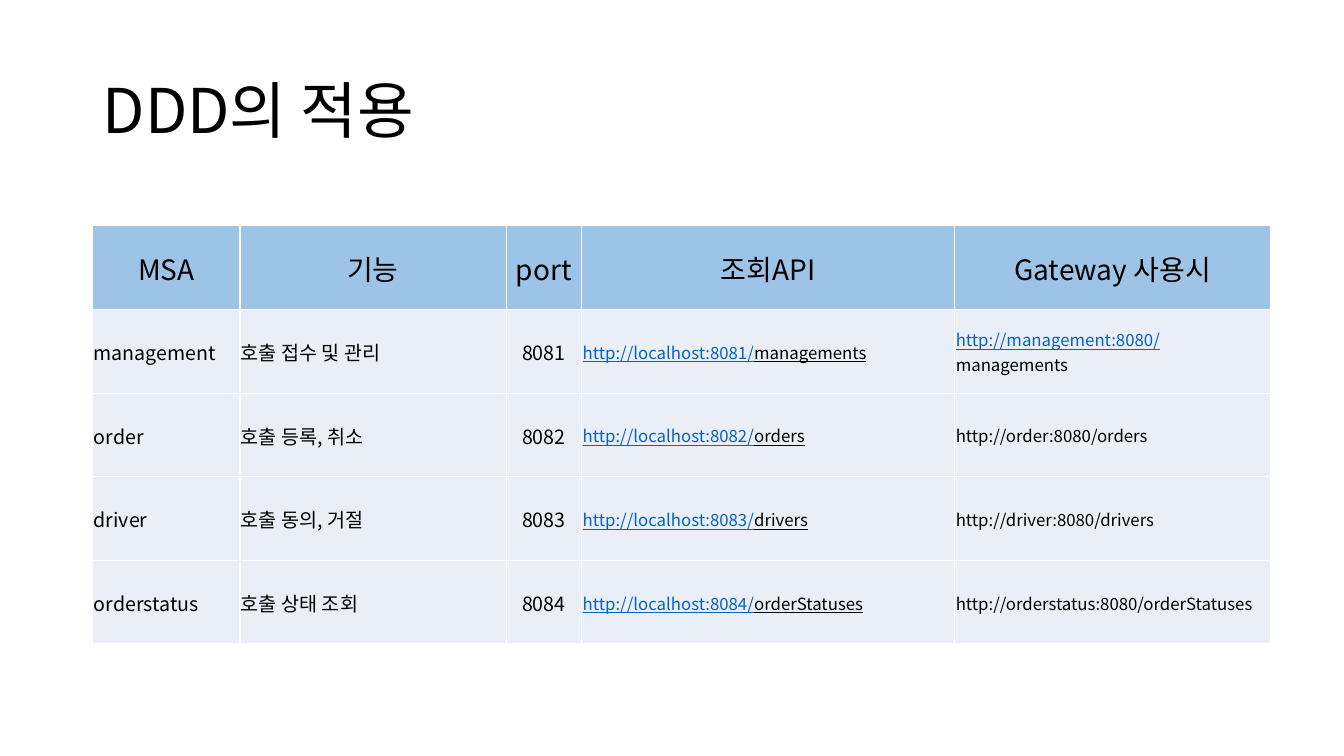
from dataclasses import dataclass

from lxml.etree import SubElement as Sub
from pptx import Presentation
from pptx.dml.color import RGBColor as Rgb
from pptx.enum.text import MSO_ANCHOR as Anchor, PP_ALIGN as Align
from pptx.oxml.ns import qn
from pptx.util import Inches, Pt

FONT = "Noto Sans CJK KR"
COLORS = {"text": "000000", "link": "0563C1", "head": "9DC3E6",
          "body": "EAEFF7", "line": "FFFFFF"}
HEADS = ["MSA", "기능", "port", "조회API", "Gateway 사용시"]
WIDTHS = [1.46, 2.64, 0.75, 3.7, 3.13]
ROW_H = 0.83
PORT_COL = 2


@dataclass
class Span:
    text: str
    size: int
    color: str = "text"
    under: bool = False


@dataclass
class Service:
    name: str
    task: str
    port: int
    path_end: str
    linked: bool = False

    def cells(self) -> list[list[Span]]:
        host = f"http://{self.name}:8080/"
        if self.linked:
            gate = [Span(host, 12, "link", True), Span(self.path_end, 12)]
        else:
            gate = [Span(host + self.path_end, 12)]
        local = [Span(f"http://localhost:{self.port}/", 12, "link", True),
                 Span(self.path_end, 12, under=True)]
        return [[Span(self.name, 14)], [Span(self.task, 14)],
                [Span(str(self.port), 14)], local, gate]


SERVICES = [
    Service("management", "호출 접수 및 관리", 8081, "managements", True),
    Service("order", "호출 등록, 취소", 8082, "orders"),
    Service("driver", "호출 동의, 거절", 8083, "drivers"),
    Service("orderstatus", "호출 상태 조회", 8084, "orderStatuses"),
]


def write(para, spans: list[Span]) -> None:
    for span in spans:
        run = para.add_run()
        run.text = span.text
        font = run.font
        font.name = FONT
        font.size = Pt(span.size)
        font.underline = span.under
        font.color.rgb = Rgb.from_string(COLORS[span.color])
        Sub(run._r.get_or_add_rPr(), qn("a:ea"), typeface=FONT)


def edge(cell) -> None:
    """Give all four sides of a cell a thin line."""
    props = cell._tc.get_or_add_tcPr()
    for side in ("lnL", "lnR", "lnT", "lnB"):
        line = Sub(props, qn(f"a:{side}"), w=str(Pt(1)))
        fill = Sub(line, qn("a:solidFill"))
        Sub(fill, qn("a:srgbClr"), val=COLORS["line"])


def fill_cell(cell, spans: list[Span], color: str, align: Align) -> None:
    edge(cell)
    cell.fill.solid()
    cell.fill.fore_color.rgb = Rgb.from_string(COLORS[color])
    cell.vertical_anchor = Anchor.MIDDLE
    cell.margin_left = cell.margin_right = cell.margin_top = Inches(0.01)
    cell.margin_bottom = 0
    para = cell.text_frame.paragraphs[0]
    para.alignment = align
    write(para, spans)


def add_title(slide, text: str) -> None:
    box = slide.shapes.add_textbox(Inches(0.92), Inches(0.4),
                                   Inches(11.5), Inches(1.45))
    frame = box.text_frame
    frame.word_wrap = True
    frame.vertical_anchor = Anchor.MIDDLE
    para = frame.paragraphs[0]
    para.line_spacing = 0.9
    write(para, [Span(text, 44)])


def add_grid(slide) -> None:
    rows = [[[Span(head, 20)] for head in HEADS]]
    rows += [service.cells() for service in SERVICES]
    table = slide.shapes.add_table(
        len(rows), len(HEADS), Inches(0.92), Inches(2.24),
        Inches(sum(WIDTHS)), Inches(ROW_H * len(rows))).table
    table.first_row = table.horz_banding = False
    for col, width in zip(table.columns, WIDTHS):
        col.width = Inches(width)
    for r, row in enumerate(rows):
        table.rows[r].height = Inches(ROW_H)
        for c, spans in enumerate(row):
            mid = r == 0 or c == PORT_COL
            fill_cell(table.cell(r, c), spans, "body" if r else "head",
                      Align.CENTER if mid else Align.LEFT)


def main() -> None:
    deck = Presentation()
    deck.slide_width, deck.slide_height = Inches(13.33), Inches(7.5)
    slide = deck.slides.add_slide(deck.slide_layouts[6])
    add_title(slide, "DDD의 적용")
    add_grid(slide)
    deck.save("out.pptx")


if __name__ == "__main__":
    main()
